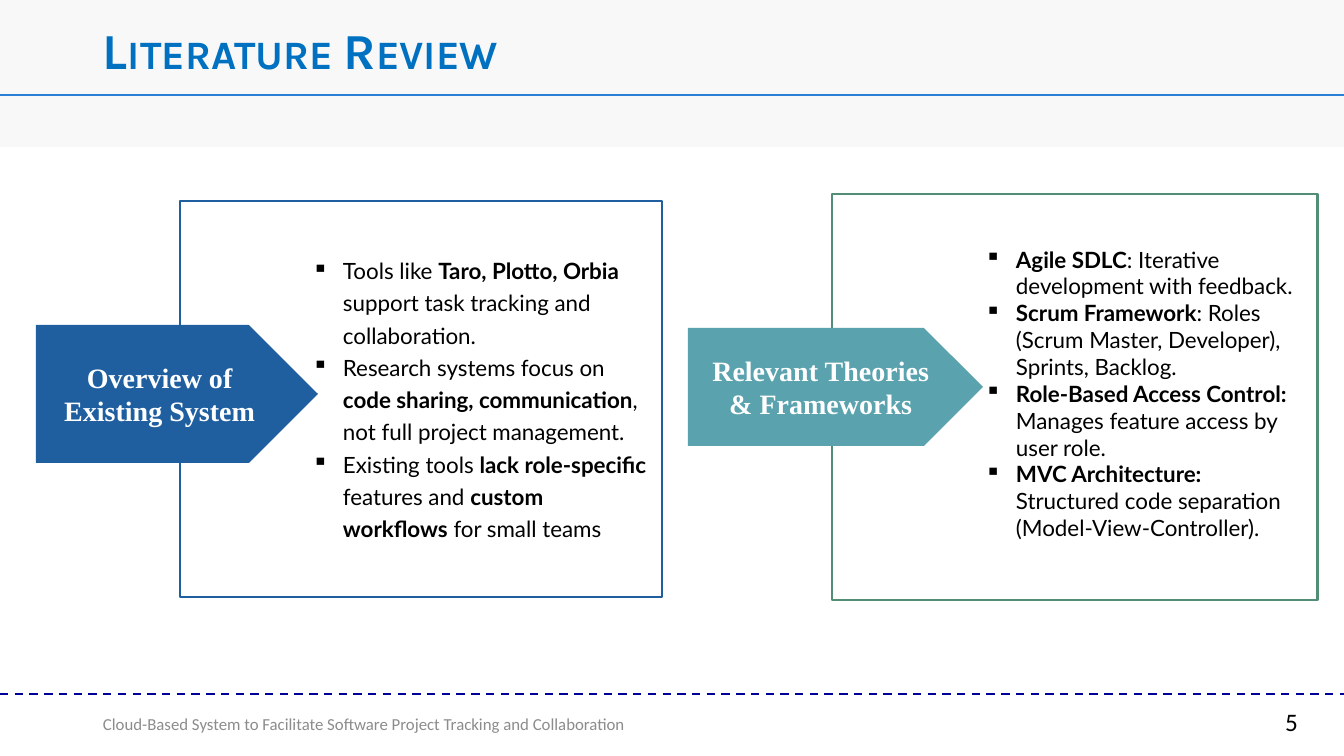
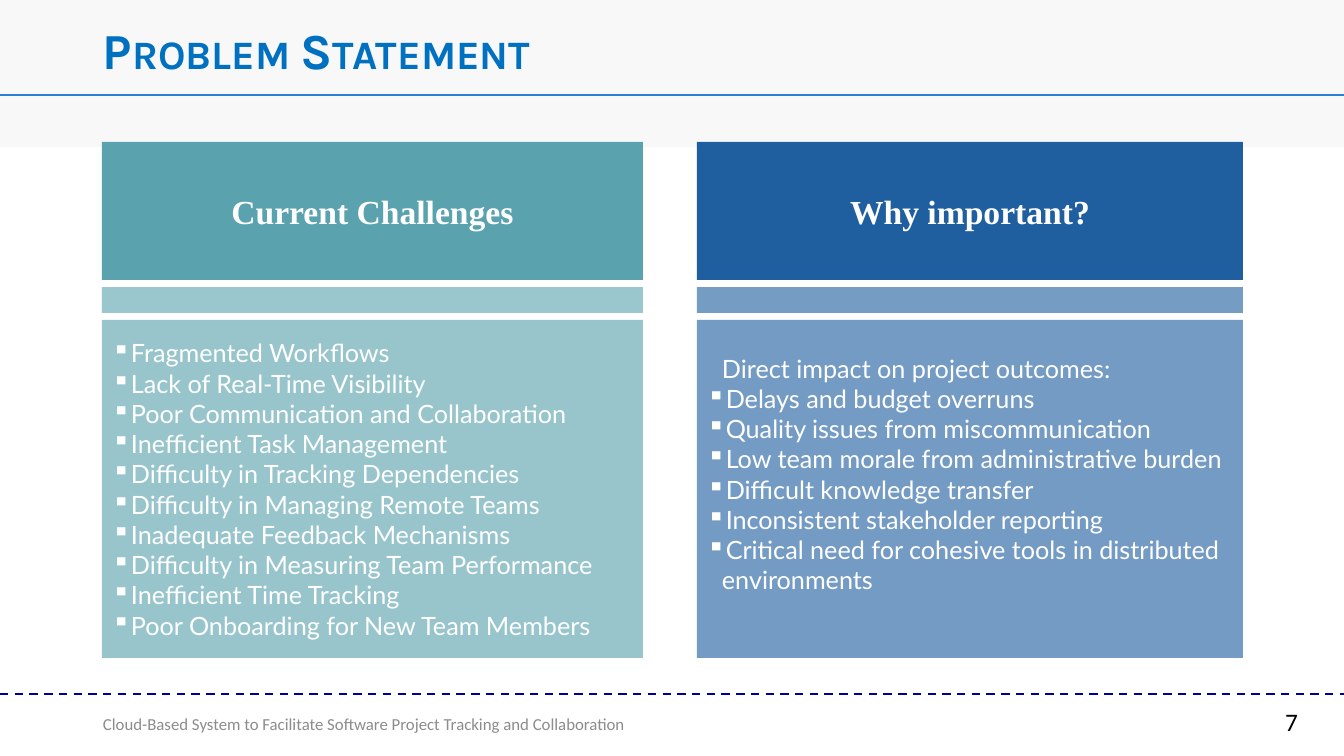
from dataclasses import dataclass

from pptx import Presentation
from pptx.dml.color import RGBColor
from pptx.enum.dml import MSO_LINE
from pptx.enum.shapes import MSO_CONNECTOR, MSO_SHAPE as SHAPE
from pptx.enum.text import MSO_ANCHOR as ANCHOR, PP_ALIGN as ALIGN
from pptx.oxml.ns import qn
from pptx.util import Emu, Pt
from lxml.etree import SubElement


@dataclass(frozen=True)
class Theme:
    band: str = "F8F8F8"
    rule: str = "297FD5"
    dashes: str = "000099"
    title: str = "0070C0"
    muted: str = "8C8C8C"
    ink: str = "000000"
    paper: str = "FFFFFF"
    blue: str = "1F5FA0"
    teal: str = "5AA2AE"
    green: str = "528D75"
    head_font: str = "Times New Roman"
    body_font: str = "Lato"
    small_font: str = "Calibri"
    title_font: str = "Karla"


T = Theme()
WIDTH, HEIGHT = 1344, 756
INSET = 10
FOOTER = "Cloud-Based System to Facilitate Software Project Tracking and Collaboration"

TITLE_STYLE = dict(name=T.title_font, size=36, color=T.title, bold=True)
FOOTER_STYLE = dict(name=T.small_font, size=12, color=T.muted)
NUMBER_STYLE = dict(name=T.small_font, size=18, color=T.ink)
ARROW_STYLE = dict(name=T.head_font, size=20, color=T.paper, bold=True)
HEADER_STYLE = dict(ARROW_STYLE, size=24)
REVIEW_STYLE = dict(name=T.body_font, size=16, color=T.ink)
PANEL_STYLE = dict(name=T.body_font, size=18, color=T.paper)

# Double asterisks enclose bold text.
REVIEW_CARDS = [
    dict(heading="Overview of Existing System",
         frame=(180, 201, 482, 396), frame_color=T.blue,
         arrow=(36, 325, 282, 138), arrow_color=T.blue,
         notes_box=(302, 200, 360, 394), spacing=1.2,
         notes=["Tools like **Taro, Plotto, Orbia** support task tracking and collaboration.",
                "Research systems focus on **code sharing, communication**, "
                "not full project management.",
                "Existing tools **lack role-specific** features and "
                "**custom workflows** for small teams"]),
    dict(heading="Relevant Theories & Frameworks",
         frame=(832, 194, 486, 406), frame_color=T.green,
         arrow=(688, 328, 295, 118), arrow_color=T.teal,
         notes_box=(975, 194, 343, 399), spacing=1.0,
         notes=["**Agile SDLC**: Iterative development with feedback.",
                "**Scrum Framework**: Roles (Scrum Master, Developer), Sprints, Backlog.",
                "**Role-Based Access Control:** Manages feature access by user role.",
                "**MVC Architecture:** Structured code separation (Model-View-Controller)."]),
]

PROBLEM_COLUMNS = [
    dict(heading="Current Challenges", color=T.teal, left=102, width=541,
         indent=19, bottom_inset=5, lead=None,
         points=["Fragmented Workflows", "Lack of Real-Time Visibility",
                 "Poor Communication and Collaboration", "Inefficient Task Management",
                 "Difficulty in Tracking Dependencies", "Difficulty in Managing Remote Teams",
                 "Inadequate Feedback Mechanisms", "Difficulty in Measuring Team Performance",
                 "Inefficient Time Tracking", "Poor Onboarding for New Team Members"]),
    dict(heading="Why important?", color=T.blue, left=697, width=546,
         indent=15, bottom_inset=35, lead="Direct impact on project outcomes:",
         points=["Delays and budget overruns", "Quality issues from miscommunication",
                 "Low team morale from administrative burden", "Difficult knowledge transfer",
                 "Inconsistent stakeholder reporting",
                 "Critical need for cohesive tools in distributed environments"]),
]
COLUMN_TOP, HEADER_H, STRIP_H, PANEL_H, COLUMN_GAP = 142, 138, 26, 338, 7


def px(value):
    return Emu(round(value * 914400 / 100.8))


def rgb(color):
    return RGBColor.from_string(color)


def add_line(slide, y, color, points, dash=None):
    line = slide.shapes.add_connector(MSO_CONNECTOR.STRAIGHT, 0, px(y), px(WIDTH), px(y))
    line.line.color.rgb = rgb(color)
    line.line.width = Pt(points)
    line.line.dash_style = dash
    SubElement(line._element.spPr, qn("a:effectLst"))


def add_block(slide, box, fill=None, outline=None, kind=SHAPE.RECTANGLE, opacity=100):
    block = slide.shapes.add_shape(kind, *map(px, box))
    block.shadow.inherit = False
    if fill:
        block.fill.solid()
        block.fill.fore_color.rgb = rgb(fill)
        if opacity < 100:
            color = block._element.spPr.find(qn("a:solidFill"))[0]
            SubElement(color, qn("a:alpha")).set("val", str(opacity * 1000))
    else:
        block.fill.background()
    if outline:
        block.line.color.rgb = rgb(outline)
        block.line.width = Pt(2)
    else:
        block.line.fill.background()
    return block


def add_box(slide, box):
    return slide.shapes.add_textbox(*map(px, box))


def write(holder, texts, style, anchor=ANCHOR.MIDDLE, align=ALIGN.LEFT, spacing=1.0,
          indent=0, plain_lines=0, bottom_inset=5):
    """Fill a shape; with an indent, lines after plain_lines get a hanging bullet."""
    frame = holder.text_frame
    settings = dict(word_wrap=True, vertical_anchor=anchor, margin_left=px(INSET),
                    margin_right=px(INSET), margin_bottom=px(bottom_inset))
    for name, value in settings.items():
        setattr(frame, name, value)
    for index, text in enumerate(texts):
        paragraph = frame.add_paragraph() if index else frame.paragraphs[0]
        if indent:
            props = paragraph._p.get_or_add_pPr()
            props.set("marL", str(px(indent)))
            if index >= plain_lines:
                props.set("indent", str(-px(indent)))
                SubElement(props, qn("a:buChar")).set("char", "▪")
        paragraph.alignment = align
        paragraph.line_spacing = spacing
        for part, words in enumerate(text.split("**")):
            if words:
                run = paragraph.add_run()
                run.text = words
                values = dict(name=style["name"], size=Pt(style["size"]),
                              bold=style.get("bold", part % 2 == 1))
                for name, value in values.items():
                    setattr(run.font, name, value)
                run.font.color.rgb = rgb(style["color"])


def add_base(deck, title, number):
    """Add a slide with the shared bands, title and footer."""
    slide = deck.slides.add_slide(deck.slide_layouts[6])
    add_line(slide, 694, T.dashes, 1.5, MSO_LINE.DASH)
    add_block(slide, (0, 0, WIDTH, 147), T.band)
    add_line(slide, 95, T.rule, 1)
    heading = add_box(slide, (93, 15, 1159, 77))
    write(heading, [title], TITLE_STYLE, spacing=0.9)
    heading.text_frame.paragraphs[0].runs[0]._r.get_or_add_rPr().set("cap", "small")
    write(add_box(slide, (93, 701, 570, 40)), [FOOTER], FOOTER_STYLE, spacing=1.3)
    write(add_box(slide, (1252, 701, 56, 40)), [str(number)], NUMBER_STYLE,
          anchor=ANCHOR.TOP, align=ALIGN.RIGHT)
    return slide


def add_review_card(slide, card):
    add_block(slide, card["frame"], outline=card["frame_color"])
    arrow = add_block(slide, card["arrow"], card["arrow_color"], kind=SHAPE.PENTAGON)
    write(arrow, [card["heading"]], ARROW_STYLE, align=ALIGN.CENTER)
    write(add_box(slide, card["notes_box"]), card["notes"], REVIEW_STYLE,
          spacing=card["spacing"], indent=31)


def add_problem_column(slide, column):
    left, width, color = column["left"], column["width"], column["color"]
    strip_top = COLUMN_TOP + HEADER_H + COLUMN_GAP
    panel_top = strip_top + STRIP_H + COLUMN_GAP
    header = add_block(slide, (left, COLUMN_TOP, width, HEADER_H), color)
    write(header, [column["heading"]], HEADER_STYLE, align=ALIGN.CENTER)
    add_block(slide, (left, strip_top, width, STRIP_H), color, opacity=61)
    panel = add_block(slide, (left, panel_top, width, PANEL_H), color, opacity=62)
    lead = [column["lead"]] if column["lead"] else []
    write(panel, lead + column["points"], PANEL_STYLE, indent=column["indent"],
          plain_lines=len(lead), bottom_inset=column["bottom_inset"])


def main():
    deck = Presentation()
    deck.slide_width, deck.slide_height = px(WIDTH), px(HEIGHT)
    review = add_base(deck, "Literature Review", 5)
    for card in REVIEW_CARDS:
        add_review_card(review, card)
    problem = add_base(deck, "Problem Statement", 7)
    for column in PROBLEM_COLUMNS:
        add_problem_column(problem, column)
    deck.save("out.pptx")


if __name__ == "__main__":
    main()
